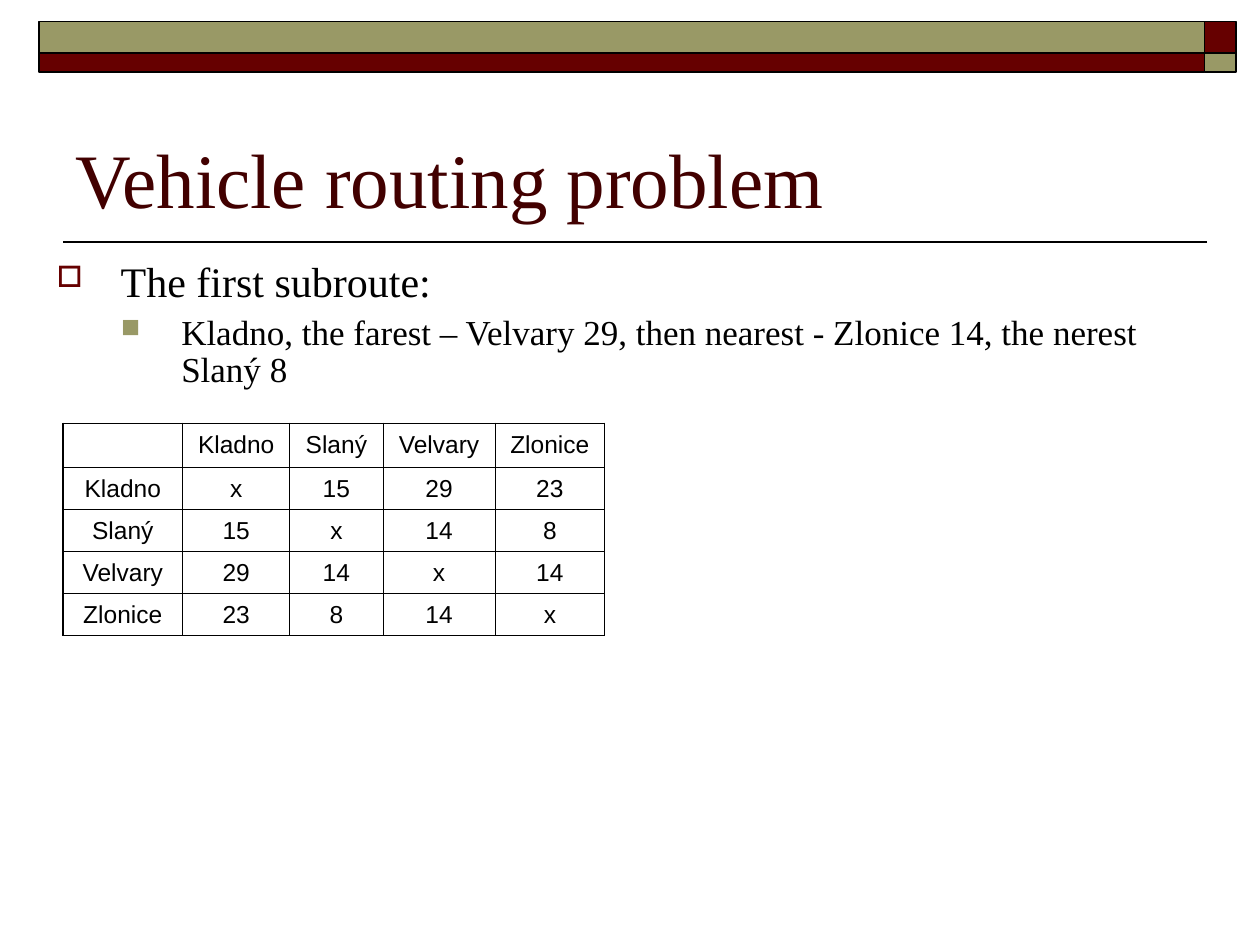
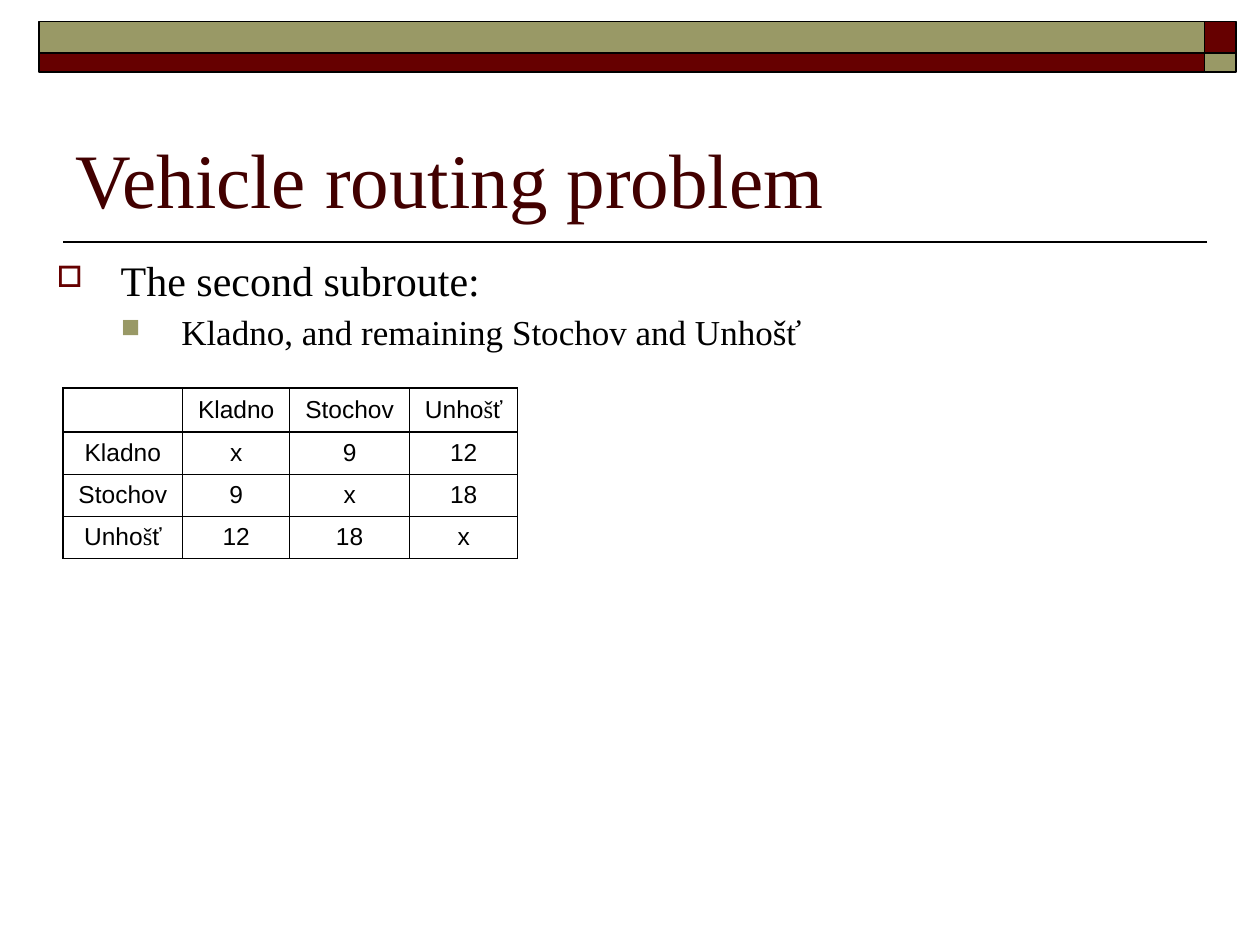
from itertools import groupby

from lxml import etree
from pptx import Presentation
from pptx import util as u
from pptx.dml.color import RGBColor
from pptx.enum import shapes, text
from pptx.oxml.ns import qn

COLS, ROWS = 20, 15
SERIF, SANS = "Times New Roman", "Arial"
BLACK, TITLE, MAROON, OLIVE = "000000", "420000", "660000", "999966"
HEAVY, THIN = 0.96, 0.45

# Body levels: size, left margin and hanging indent in columns, space before, bullet
LEVELS = [
    dict(size=24, left=1.02, hang=1.02, before=6, bullet=("□", MAROON, 70)),
    dict(size=20, left=1.98, hang=0.96, before=5, bullet=("■", OLIVE, 75)),
]

# Table column widths, in grid columns
HEAD_WIDTH = 1.9
WIDTHS = {"Kladno": 1.7, "Slaný": 1.48, "Velvary": 1.78, "Zlonice": 1.74,
          "Stochov": 1.9, "Unhošť": 1.72}


def color(hex_string):
    return RGBColor.from_string(hex_string)


def write(p, words, size=14, font=SANS, fill=BLACK, align=None, serif_chars=""):
    """Add words to a paragraph; serif_chars are set in the serif font."""
    p.alignment = align
    for is_serif, chars in groupby(words, lambda ch: ch in serif_chars):
        r = p.add_run()
        r.text = "".join(chars)
        r.font.size = u.Pt(size)
        r.font.name = SERIF if is_serif else font
        r.font.color.rgb = color(fill)


class Deck:
    def __init__(self):
        self.prs = Presentation()
        self.prs.slide_width, self.prs.slide_height = u.Inches(10), u.Inches(7.5)
        self.s = None

    def x(self, cols):
        return round(self.prs.slide_width * cols / COLS)

    def y(self, rows):
        return round(self.prs.slide_height * rows / ROWS)

    def box(self, left, top, width, height):
        return self.x(left), self.y(top), self.x(width), self.y(height)

    def slide(self, title):
        self.s = self.prs.slides.add_slide(self.prs.slide_layouts[6])
        self.rule(1, 19.16, 3.84)
        # Two bands, each ending in a block of the other colour
        for top, height, band, block in ((0.34, 0.5, OLIVE, MAROON),
                                         (0.84, 0.3, MAROON, OLIVE)):
            self.rect(0.62, top, 18.5, height, band)
            self.rect(19.12, top, 0.5, height, block)
        tf = self.frame(1, 1.16, 18, 2.5, text.MSO_ANCHOR.BOTTOM)
        write(tf.paragraphs[0], title, size=44, font=SERIF, fill=TITLE)

    def rect(self, left, top, width, height, fill):
        sp = self.s.shapes.add_shape(shapes.MSO_SHAPE.RECTANGLE,
                                     *self.box(left, top, width, height))
        sp.shadow.inherit = False
        sp.fill.solid()
        sp.fill.fore_color.rgb = color(fill)
        sp.line.color.rgb = color(BLACK)
        sp.line.width = u.Pt(1)

    def rule(self, left, right, top):
        line = self.s.shapes.add_connector(shapes.MSO_CONNECTOR.STRAIGHT,
                                           self.x(right), self.y(top),
                                           self.x(left), self.y(top))
        line.line.color.rgb = color(BLACK)
        line.line.width = u.Pt(1)
        etree.SubElement(line._element.spPr, qn("a:effectLst"))

    def frame(self, left, top, width, height, anchor=text.MSO_ANCHOR.TOP):
        tf = self.s.shapes.add_textbox(*self.box(left, top, width, height)).text_frame
        tf.word_wrap = True
        tf.vertical_anchor = anchor
        return tf

    def body(self, height, *lines):
        tf = self.frame(0.7, 4.04, 18.58, height)
        for i, (words, level) in enumerate(zip(lines, LEVELS)):
            p = tf.add_paragraph() if i else tf.paragraphs[0]
            p.level = i
            p.line_spacing = 0.9
            p.space_before = u.Pt(level["before"])
            self.bullet(p, level)
            write(p, words, size=level["size"], font=SERIF)

    def bullet(self, p, level):
        char, fill, percent = level["bullet"]
        pPr = p._p.get_or_add_pPr()
        pPr.set("marL", str(self.x(level["left"])))
        pPr.set("indent", str(-self.x(level["hang"])))
        clr = etree.SubElement(pPr, qn("a:buClr"))
        etree.SubElement(clr, qn("a:srgbClr"), val=fill)
        etree.SubElement(pPr, qn("a:buSzPct"), val=str(percent * 1000))
        etree.SubElement(pPr, qn("a:buChar"), char=char)

    def distances(self, top, towns, pairs, heavy_end=False):
        """Symmetric distance table; pairs holds the rows above the diagonal."""
        n = len(towns)
        grid = [["", *towns]] + [[town] + ["x"] * n for town in towns]
        for i, row in enumerate(pairs, 1):
            for j, km in enumerate(row, i + 1):
                grid[i][j] = grid[j][i] = str(km)

        widths = [HEAD_WIDTH] + [WIDTHS[town] for town in towns]
        heights = [0.7] + [0.66] * n
        tbl = self.s.shapes.add_table(
            n + 1, n + 1, *self.box(1, top, sum(widths), sum(heights))).table
        tbl.first_row = tbl.horz_banding = False
        for k in range(n + 1):
            tbl.columns[k].width = self.x(widths[k])
            tbl.rows[k].height = self.y(heights[k])

        heavy = {0, 1, n + 1} if heavy_end else {0, 1}
        for i, row in enumerate(grid):
            for j, words in enumerate(row):
                self.cell(tbl.cell(i, j), words, [
                    HEAVY if edge in heavy else THIN for edge in (j, j + 1, i, i + 1)])

    def cell(self, cell, words, borders):
        cell.vertical_anchor = text.MSO_ANCHOR.MIDDLE
        cell.margin_left = cell.margin_right = u.Inches(0.1)
        cell.margin_top = cell.margin_bottom = u.Inches(0.05 if words else 0)
        write(cell.text_frame.paragraphs[0], words,
              align=text.PP_ALIGN.CENTER, serif_chars="š")
        tcPr = cell._tc.get_or_add_tcPr()
        for side, width in zip("LRTB", borders):
            ln = etree.SubElement(tcPr, qn(f"a:ln{side}"), w=str(u.Pt(width)))
            fill = etree.SubElement(ln, qn("a:solidFill"))
            etree.SubElement(fill, qn("a:srgbClr"), val=BLACK)
        cell.fill.background()


def main():
    deck = Deck()

    # First subroute
    deck.slide("Vehicle routing problem")
    deck.distances(6.72, ["Kladno", "Slaný", "Velvary", "Zlonice"],
                   [[15, 29, 23], [14, 8], [14]], heavy_end=True)
    deck.body(2.5, "The first subroute:",
              "Kladno, the farest – Velvary 29, then nearest - Zlonice 14, "
              "the nerest Slaný 8")

    # Second subroute
    deck.slide("Vehicle routing problem")
    deck.distances(6.16, ["Kladno", "Stochov", "Unhošť"], [[9, 12], [18]])
    deck.body(1.88, "The second subroute:",
              "Kladno, and remaining Stochov and Unhošť")

    deck.prs.save("out.pptx")


if __name__ == "__main__":
    main()
